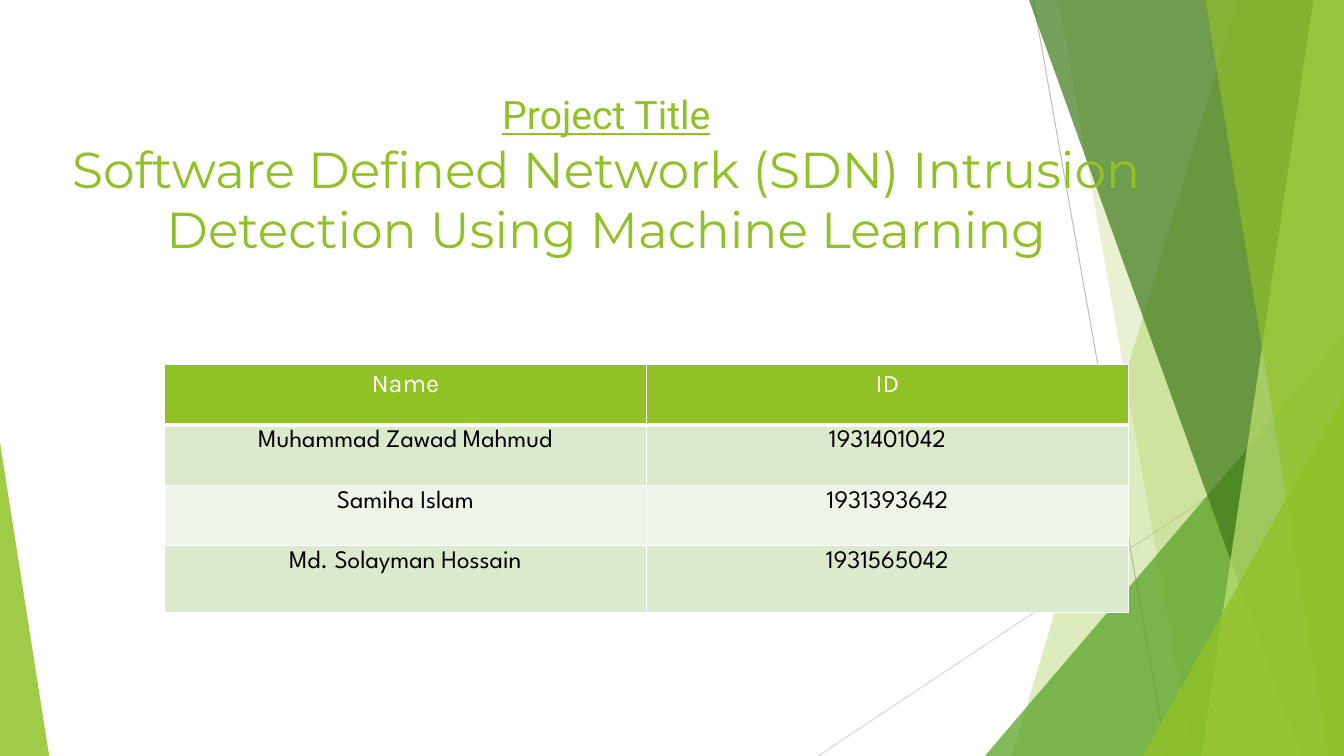
"""Build the title slide of a network intrusion detection project."""
import pptx
import pptx.dml.color
import pptx.enum.shapes
import pptx.enum.text
import pptx.oxml
import pptx.oxml.ns
import pptx.util
from pptx.util import Cm

RGBColor = pptx.dml.color.RGBColor
WHITE = RGBColor(0xFF, 0xFF, 0xFF)
BLACK = RGBColor(0x00, 0x00, 0x00)
LIME = RGBColor(0x90, 0xC2, 0x26)
PALE_LIME = RGBColor(0xC0, 0xE4, 0x74)
GREEN = RGBColor(0x54, 0xA0, 0x21)
DARK_GREEN = RGBColor(0x3F, 0x78, 0x19)
BAND_DARK = RGBColor(0xDB, 0xE9, 0xCD)
BAND_LIGHT = RGBColor(0xEE, 0xF4, 0xE8)
GRAY = RGBColor(0xBF, 0xBF, 0xBF)
LIGHT_GRAY = RGBColor(0xD9, 0xD9, 0xD9)

WIDTH, HEIGHT = 33.87, 19.05
NS = pptx.oxml.ns.nsdecls("a")
MEMBERS = [
    ("Name", "ID"),
    ("Muhammad Zawad Mahmud", "1931401042"),
    ("Samiha Islam", "1931393642"),
    ("Md. Solayman Hossain", "1931565042"),
]


def add_line(s, x1, y1, x2, y2, color):
    """Draw a thin straight line."""
    line = s.shapes.add_connector(
        pptx.enum.shapes.MSO_CONNECTOR.STRAIGHT, Cm(x1), Cm(y1), Cm(x2), Cm(y2))
    line.line.color.rgb = color
    line.line.width = pptx.util.Pt(0.75)
    line._element.spPr.append(pptx.oxml.parse_xml(f"<a:effectLst {NS}/>"))


def paint(sp, color, opacity):
    """Give a shape a translucent fill without outline or shadow."""
    sp.shadow.inherit = False
    sp.line.fill.background()
    sp.fill.solid()
    sp.fill.fore_color.rgb = color
    clr = sp._element.spPr.find(".//" + pptx.oxml.ns.qn("a:srgbClr"))
    clr.append(pptx.oxml.parse_xml(f'<a:alpha {NS} val="{opacity * 1000}"/>'))


def add_band(s, x_top, x_bottom, color, opacity):
    """Draw a slanted band that reaches the right edge of the slide."""
    fb = s.shapes.build_freeform(Cm(x_top), Cm(0))
    corners = [(WIDTH, 0), (WIDTH, HEIGHT), (x_bottom, HEIGHT)]
    fb.add_line_segments([(Cm(x), Cm(y)) for x, y in corners], close=True)
    paint(fb.convert_to_shape(), color, opacity)


def add_triangle(s, x, y, w, apex, color, opacity):
    """Draw a triangle standing on the bottom edge of the slide."""
    sp = s.shapes.add_shape(
        pptx.enum.shapes.MSO_SHAPE.ISOSCELES_TRIANGLE,
        Cm(x), Cm(y), Cm(w), Cm(HEIGHT - y))
    sp.adjustments[0] = apex
    paint(sp, color, opacity)


def write(p, text, *, font, size, color, underline=False):
    """Write centred text into a paragraph."""
    p.alignment = pptx.enum.text.PP_ALIGN.CENTER
    r = p.add_run()
    r.text = text
    r.font.name = font
    r.font.size = pptx.util.Pt(size)
    r.font.color.rgb = color
    r.font.underline = underline
    r.font.bold = False


def add_borders(cell, bottom):
    """Give a cell white borders with its own bottom width in points."""
    tc_pr = cell._tc.get_or_add_tcPr()
    for i, (side, width) in enumerate(zip("LRTB", (1, 1, 1, bottom))):
        tc_pr.insert(i, pptx.oxml.parse_xml(
            f'<a:ln{side} {NS} w="{pptx.util.Pt(width)}"><a:solidFill>'
            f'<a:srgbClr val="{WHITE}"/></a:solidFill></a:ln{side}>'))


def add_members(s):
    """Add the table of project members."""
    heights = [1.52, 1.52, 1.52, 1.68]
    table = s.shapes.add_table(
        len(MEMBERS), 2, Cm(4.14), Cm(9.19), Cm(24.3), Cm(sum(heights))).table
    for i, (row, height) in enumerate(zip(MEMBERS, heights)):
        table.rows[i].height = Cm(height)
        header = i == 0
        band = LIME if header else BAND_DARK if i % 2 else BAND_LIGHT
        for j, text in enumerate(row):
            cell = table.cell(i, j)
            cell.fill.solid()
            cell.fill.fore_color.rgb = band
            add_borders(cell, 3 if header else 1)
            write(cell.text_frame.paragraphs[0], text, size=18,
                  font="Karla" if header else "League Spartan",
                  color=WHITE if header else BLACK)


def add_title(s):
    """Add the project title."""
    tf = s.shapes.add_textbox(Cm(1.55), Cm(2.16), Cm(27.46), Cm(6.25)).text_frame
    tf.word_wrap = True
    write(tf.paragraphs[0], "Project Title", font="Roboto", size=28,
          color=LIME, underline=True)
    write(tf.add_paragraph(),
          "Software Defined Network (SDN) Intrusion Detection Using Machine Learning",
          font="Montserrat", size=36, color=LIME)


def add_backdrop(s):
    """Draw the green facets along the slide edges."""
    add_line(s, 26.04, 0, 29.41, HEIGHT, GRAY)
    add_line(s, WIDTH, 10.24, 20.62, HEIGHT, LIGHT_GRAY)
    add_band(s, 31.19, 25.5, LIME, 30)
    add_band(s, 26.67, 30.05, LIME, 20)
    add_triangle(s, 24.82, 8.46, 9.05, 1, GREEN, 72)
    add_band(s, 25.93, 32.79, DARK_GREEN, 70)
    add_band(s, 33.1, 30.28, PALE_LIME, 70)
    add_band(s, 30.38, 33.48, LIME, 65)
    add_triangle(s, 28.8, 9.98, 5.07, 1, LIME, 80)
    add_triangle(s, 0, 11.15, 1.24, 0, LIME, 85)


def main():
    """Build and save the slide."""
    prs = pptx.Presentation()
    prs.slide_width, prs.slide_height = Cm(WIDTH), Cm(HEIGHT)
    s = prs.slides.add_slide(prs.slide_layouts[6])
    add_backdrop(s)
    add_members(s)
    add_title(s)
    prs.save("out.pptx")


if __name__ == "__main__":
    main()
